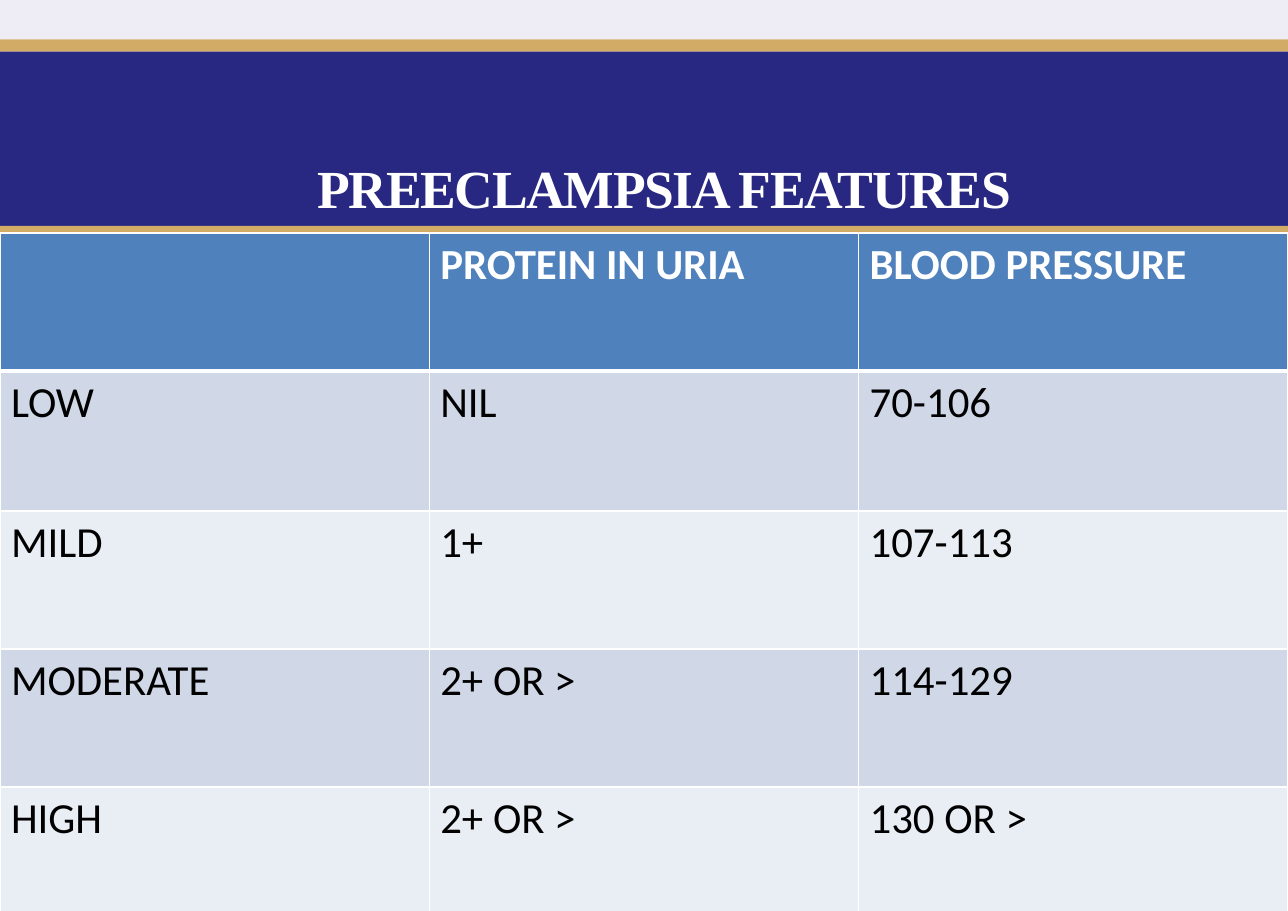
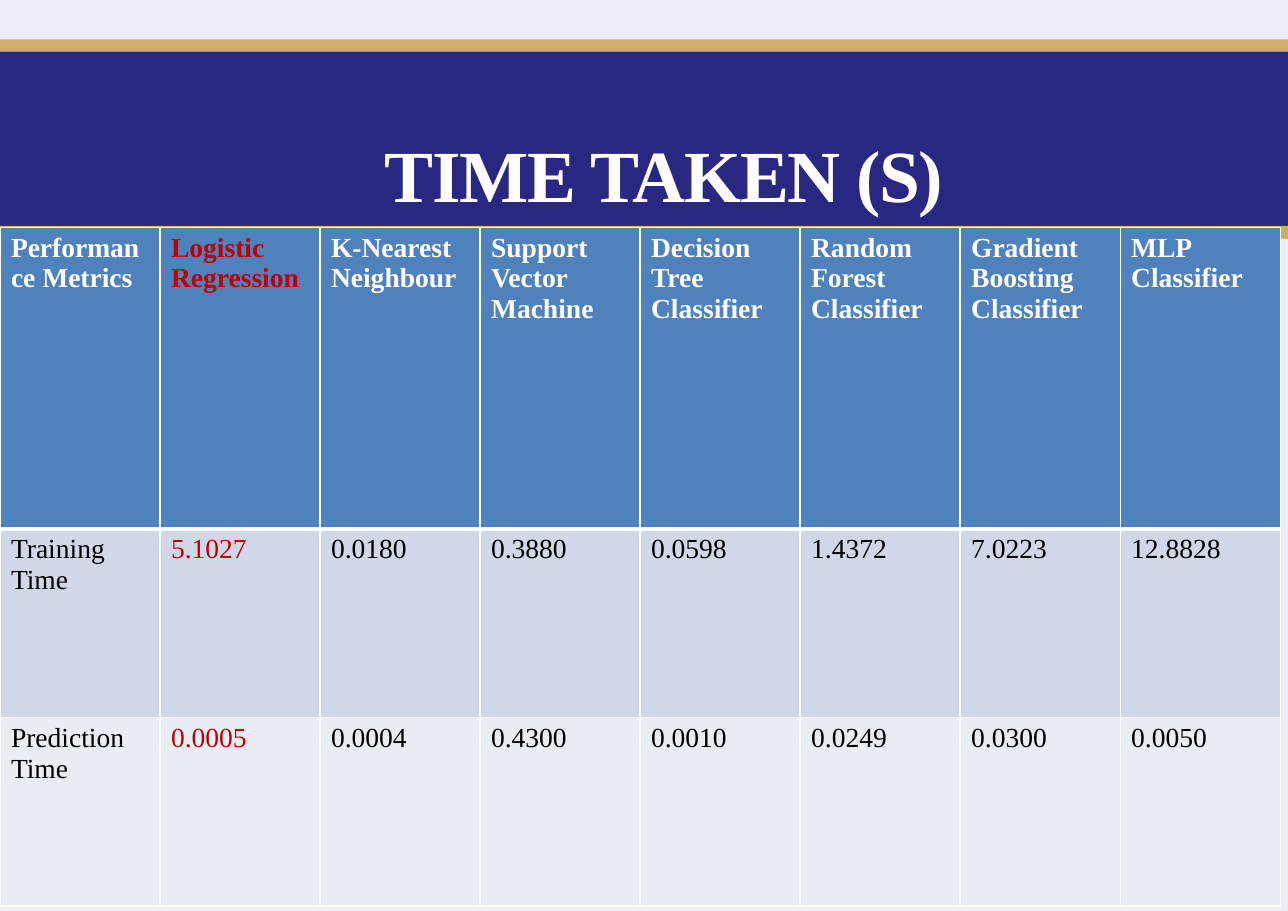
from dataclasses import dataclass

from lxml import etree
from pptx import Presentation
from pptx.dml.color import RGBColor
from pptx.enum.shapes import MSO_SHAPE as Shape
from pptx.enum.text import MSO_ANCHOR as Anchor, MSO_AUTO_SIZE as AutoSize, PP_ALIGN as Align
from pptx.oxml.ns import qn
from pptx.util import Cm, Pt

PAGE_WIDTH, PAGE_HEIGHT = 29.7, 21.0
PALE, GOLD, NAVY = "EEEDF6", "D2AB67", "282781"
WHITE, BLACK, RED = "FFFFFF", "000000", "C00000"
HEADER_FILL, ROW_FILLS = "4F81BD", ("D0D8E8", "E9EDF4")
SERIF, SANS = "Times New Roman", "Calibri"
THIN, THICK = 1, 3


@dataclass(frozen=True)
class Band:
    top: float
    bottom: float
    fill: str


@dataclass(frozen=True)
class TablePage:
    title: str
    title_top: float
    title_height: float
    title_size: int
    table_top: float
    column_width: float
    row_heights: tuple[float, ...]
    font: str
    size: int
    rows: tuple[tuple[str, ...], ...]
    red_column: int | None = None


BANDS = (
    Band(0, 0.91, PALE),
    Band(0.91, 1.19, GOLD),
    Band(1.19, 5.21, NAVY),
    Band(5.21, 5.51, GOLD),
    Band(5.51, PAGE_HEIGHT, PALE),
)

PAGES = (
    TablePage(
        "PREECLAMPSIA FEATURES", 3.5, 1.52, 35,
        5.37, 9.9, (3.18, 3.23, 3.18, 3.18, 3.18), SANS, 28,
        (
            ("", "PROTEIN IN URIA", "BLOOD PRESSURE"),
            ("LOW", "NIL", "70-106"),
            ("MILD", "1+", "107-113"),
            ("MODERATE", "2+ OR >", "114-129"),
            ("HIGH", "2+ OR >", "130 OR >"),
        ),
    ),
    TablePage(
        "TIME TAKEN (S)", 2.92, 2.08, 48,
        5.24, 3.69, (6.95, 4.35, 4.35), SERIF, 18,
        (
            ("Performance Metrics", "Logistic Regression", "K-Nearest Neighbour",
             "Support Vector Machine", "Decision Tree Classifier",
             "Random Forest Classifier", "Gradient Boosting Classifier", "MLP Classifier"),
            ("Training Time", "5.1027", "0.0180", "0.3880", "0.0598", "1.4372", "7.0223", "12.8828"),
            ("Prediction Time", "0.0005", "0.0004", "0.4300", "0.0010", "0.0249", "0.0300", "0.0050"),
        ),
        red_column=1,
    ),
)


def color(value: str) -> RGBColor:
    return RGBColor.from_string(value)


def add_span(para, text: str, font: str, size: int, ink: str, bold: bool):
    span = para.add_run()
    span.text = text
    span.font.name, span.font.size, span.font.bold = font, Pt(size), bold
    span.font.color.rgb = color(ink)
    return span


def add_bands(page, layout) -> None:
    """Draw the bands on a page, then move them to the layout all pages share."""
    for index, band in enumerate(BANDS):
        box = page.shapes.add_shape(
            Shape.RECTANGLE, 0, Cm(band.top), Cm(PAGE_WIDTH), Cm(band.bottom - band.top))
        box.shadow.inherit = False
        box.fill.solid()
        box.fill.fore_color.rgb = color(band.fill)
        box.line.fill.background()
        box.name = f"Band {index + 1}"
        box.element.nvSpPr.cNvPr.set("id", str(100 + index))
        # The first two children of a shape tree are its own properties
        layout.shapes.element.insert(2 + index, box.element)


def set_title(page, content: TablePage) -> None:
    box = page.shapes.title
    box.left, box.top = 0, Cm(content.title_top)
    box.width, box.height = Cm(30.63), Cm(content.title_height)
    frame = box.text_frame
    frame.margin_left = frame.margin_right = frame.margin_bottom = 0
    frame.margin_top = Cm(0.06)
    frame.vertical_anchor = Anchor.TOP
    frame.word_wrap = True
    frame.auto_size = AutoSize.SHAPE_TO_FIT_TEXT
    para = frame.paragraphs[0]
    para.alignment = Align.CENTER
    para.space_before = Pt(0)
    span = add_span(para, content.title, SERIF, content.title_size, WHITE, True)
    span._r.get_or_add_rPr().set("spc", "-90")


def set_borders(cell, top: int, bottom: int) -> None:
    """Give a cell white borders; they must precede its fill."""
    properties = cell._tc.get_or_add_tcPr()
    widths = (("lnL", THIN), ("lnR", THIN), ("lnT", top), ("lnB", bottom))
    for index, (side, width) in enumerate(widths):
        line = etree.Element(qn(f"a:{side}"), w=str(Pt(width)))
        fill = etree.SubElement(line, qn("a:solidFill"))
        etree.SubElement(fill, qn("a:srgbClr"), val=WHITE)
        properties.insert(index, line)


def fill_cell(cell, text: str, row: int, column: int, content: TablePage) -> None:
    header = row == 0
    cell.fill.solid()
    cell.fill.fore_color.rgb = color(HEADER_FILL if header else ROW_FILLS[(row - 1) % 2])
    set_borders(cell, THICK if row == 1 else THIN, THICK if header else THIN)
    if text:
        plain = WHITE if header else BLACK
        ink = RED if column == content.red_column else plain
        add_span(cell.text_frame.paragraphs[0], text, content.font, content.size, ink, header)


def add_data_table(page, content: TablePage) -> None:
    row_count, column_count = len(content.rows), len(content.rows[0])
    table = page.shapes.add_table(
        row_count, column_count, 0, Cm(content.table_top),
        Cm(content.column_width * column_count), Cm(sum(content.row_heights))).table
    table.horz_banding = False
    for column in table.columns:
        column.width = Cm(content.column_width)
    for row, (height, texts) in enumerate(zip(content.row_heights, content.rows)):
        table.rows[row].height = Cm(height)
        for column, text in enumerate(texts):
            fill_cell(table.cell(row, column), text, row, column, content)


def main() -> None:
    deck = Presentation()
    deck.slide_width, deck.slide_height = Cm(PAGE_WIDTH), Cm(PAGE_HEIGHT)
    layout = deck.slide_layouts.get_by_name("Title Only")
    pages = [deck.slides.add_slide(layout) for _ in PAGES]
    add_bands(pages[0], layout)
    for page, content in zip(pages, PAGES):
        set_title(page, content)
        add_data_table(page, content)
    deck.save("out.pptx")


if __name__ == "__main__":
    main()
